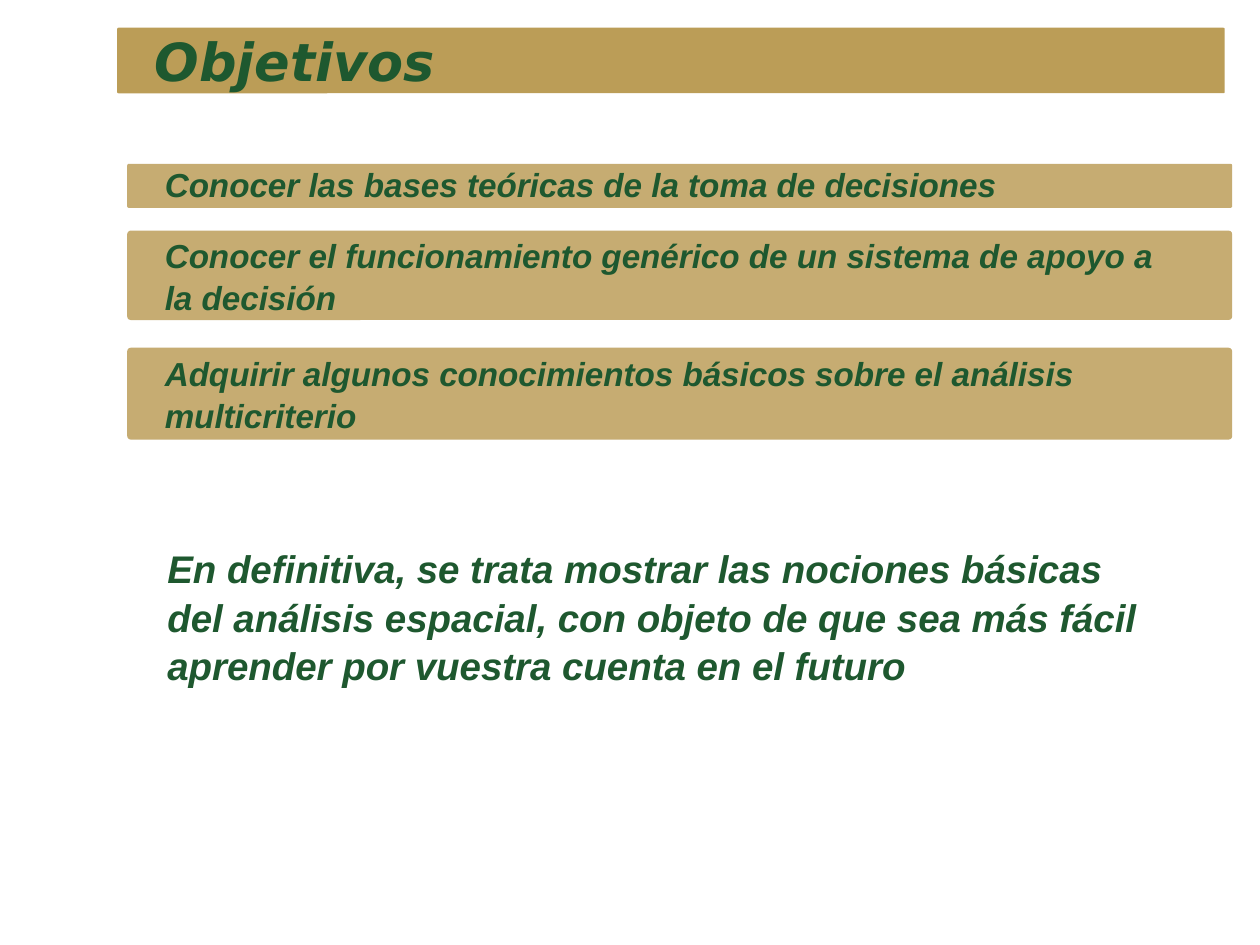
from pptx import Presentation
from pptx import util as u
from pptx.dml.color import RGBColor
from pptx.enum import shapes, text

GREEN = "1E582F"
GOLD = "BB9D57"
SAND = "C6AC72"


def color(value):
    return RGBColor.from_string(value)


def add_bar(parent, left, top, width, height, fill, rounding):
    bar = parent.add_shape(shapes.MSO_SHAPE.ROUNDED_RECTANGLE, u.Inches(left),
                           u.Inches(top), u.Inches(width), u.Inches(height))
    bar.adjustments[0] = rounding
    bar.shadow.inherit = False
    bar.fill.solid()
    bar.fill.fore_color.rgb = color(fill)
    bar.line.fill.background()


def add_text(parent, left, top, width, height, words, size, font="Arial"):
    box = parent.add_textbox(u.Inches(left), u.Inches(top),
                             u.Inches(width), u.Inches(height))
    frame = box.text_frame
    frame.word_wrap = True
    frame.vertical_anchor = text.MSO_ANCHOR.TOP
    para = frame.paragraphs[0]
    para.line_spacing = 1.05
    span = para.add_run()
    span.text = words
    span.font.name = font
    span.font.size = u.Pt(size)
    span.font.bold = True
    span.font.italic = True
    span.font.color.rgb = color(GREEN)


def add_title(page, left, top, width, height):
    add_bar(page.shapes, left, top, width, height, GOLD, 0.02)
    add_text(page.shapes, left + 0.2, top - 0.06, 8.36, 0.6,
             "Objetivos", 30, "DejaVu Sans")


def add_goal(page, left, top, width, height, words, text_top, text_height):
    group = page.shapes.add_group_shape()
    add_bar(group.shapes, left, top, width, height, SAND, 0.04)
    add_text(group.shapes, left + 0.2, text_top, 8.04, text_height, words, 19)


def main():
    deck = Presentation()
    deck.slide_width = u.Inches(10)
    deck.slide_height = u.Inches(7.5)
    page = deck.slides.add_slide(deck.slide_layouts[6])

    add_title(page, 0.93, 0.22, 8.79, 0.52)

    goals = [
        (1.3, 0.35, "Conocer las bases teóricas de la toma de decisiones", 1.24, 0.42),
        (1.83, 0.71, "Conocer el funcionamiento genérico de un sistema de apoyo "
                     "a la decisión", 1.8, 0.73),
        (2.76, 0.73, "Adquirir algunos conocimientos básicos sobre el análisis "
                     "multicriterio", 2.74, 0.73),
    ]
    for top, height, words, text_top, text_height in goals:
        add_goal(page, 1.01, top, 8.77, height, words, text_top, text_height)

    add_text(page.shapes, 1.23, 4.26, 8.04, 1.2,
             "En definitiva, se trata mostrar las nociones básicas del análisis "
             "espacial, con objeto de que sea más fácil aprender por vuestra "
             "cuenta en el futuro", 22)

    deck.save("out.pptx")


if __name__ == "__main__":
    main()
